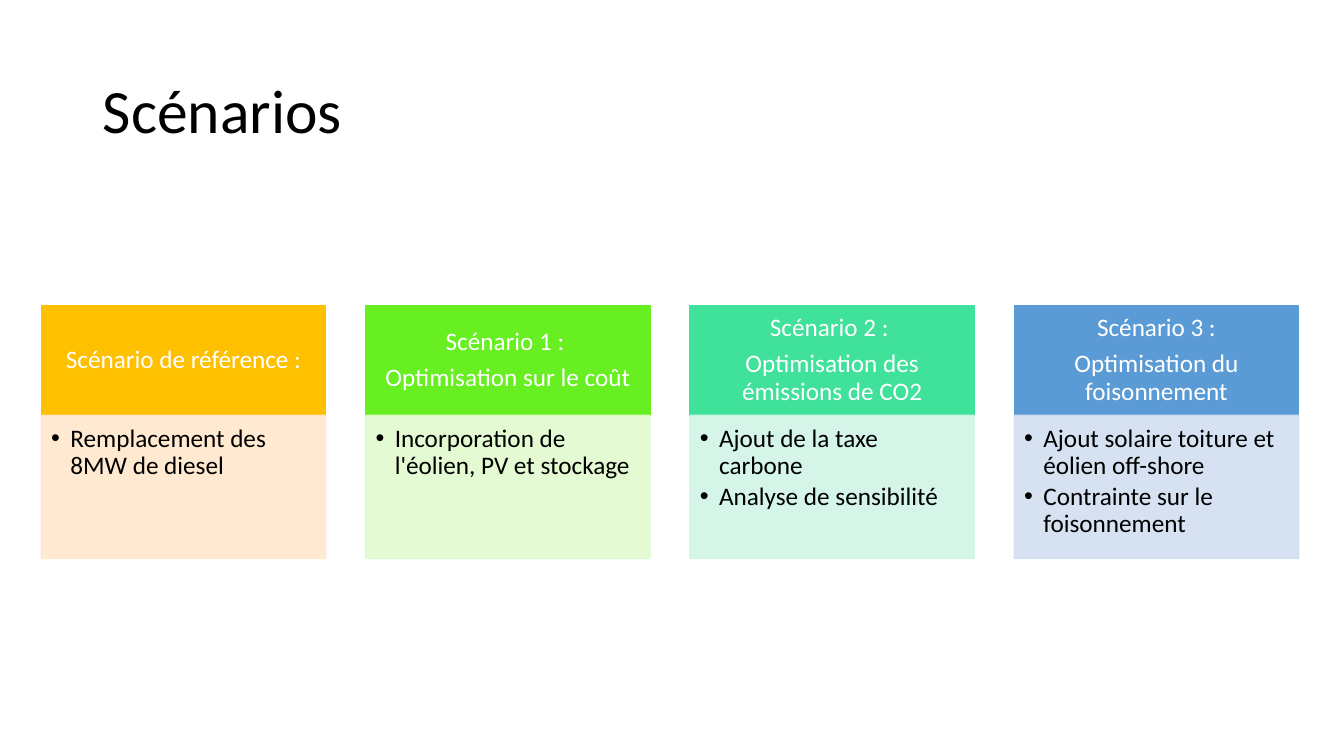
from lxml import etree
from pptx import Presentation
from pptx.dml.color import RGBColor
from pptx.enum.shapes import MSO_SHAPE
from pptx.enum.text import MSO_ANCHOR, PP_ALIGN
from pptx.oxml.ns import qn
from pptx.util import Inches, Pt

RECTANGLE = MSO_SHAPE.RECTANGLE
TOP, MIDDLE = MSO_ANCHOR.TOP, MSO_ANCHOR.MIDDLE
LEFT, CENTER = PP_ALIGN.LEFT, PP_ALIGN.CENTER

SLIDE_WIDTH, SLIDE_HEIGHT = 13.33, 7.5
FIRST_LEFT, LAST_LEFT, CARD_WIDTH = 0.41, 10.06, 2.82
ROWS = {"header": (3.03, 1.09), "body": (4.12, 1.42)}

SCENARIOS = [
    ("FFC000", "FFE8CC", ["Scénario de référence :"],
     ["Remplacement des 8MW de diesel"]),
    ("67EF21", "E1FACE", ["Scénario 1 : ", "Optimisation sur le coût"],
     ["Incorporation de l'éolien, PV et stockage"]),
    ("3FE19B", "D0F5E5", ["Scénario 2 : ", "Optimisation des émissions de CO2"],
     ["Ajout de la taxe carbone", "Analyse de sensibilité"]),
    ("5B9BD5", "D2DFF0", ["Scénario 3 :", "Optimisation du foisonnement"],
     ["Ajout solaire toiture et éolien off-shore", "Contrainte sur le foisonnement"]),
]


def color(hex_string):
    return RGBColor.from_string(hex_string)


def set_values(target, values):
    for name, value in values.items():
        setattr(target, name, value)


class ScenarioSlide:
    font_name = "Calibri"
    text_size = 18
    title_size = 44

    def __init__(self, presentation):
        self.slide = presentation.slides.add_slide(presentation.slide_layouts[5])
        self.pitch = (LAST_LEFT - FIRST_LEFT) / (len(SCENARIOS) - 1)

    def place(self, column, row):
        top, height = ROWS[row]
        lengths = (FIRST_LEFT + column * self.pitch, top, CARD_WIDTH, height)
        return [Inches(length) for length in lengths]

    def fill_text(self, shape, lines, size, text_color, anchor, paragraph_format, margins):
        frame = shape.text_frame
        set_values(frame, {"word_wrap": True, "vertical_anchor": anchor})
        set_values(frame, {name: Inches(margin) for name, margin in margins.items()})
        frame.text = "\n".join(lines)
        for paragraph in frame.paragraphs:
            set_values(paragraph, {"line_spacing": 0.9, **paragraph_format})
            font = paragraph.runs[0].font
            set_values(font, {"name": self.font_name, "size": Pt(size)})
            font.color.rgb = color(text_color)
        return frame.paragraphs

    def title(self, text):
        shape = self.slide.shapes.title
        set_values(shape, {
            "left": Inches(0.92), "top": Inches(0.4),
            "width": Inches(11.5), "height": Inches(1.45),
        })
        self.fill_text(shape, [text], self.title_size, "000000", MIDDLE, {"alignment": LEFT}, {})

    def box(self, column, row, fill_color):
        shape = self.slide.shapes.add_shape(RECTANGLE, *self.place(column, row))
        shape.shadow.inherit = False
        shape.fill.solid()
        shape.fill.fore_color.rgb = color(fill_color)
        shape.line.color.rgb = color(fill_color)
        shape.line.width = Pt(1)
        return shape

    def header(self, column, fill_color, lines):
        self.fill_text(
            self.box(column, "header", fill_color), lines, self.text_size, "FFFFFF", MIDDLE,
            {"alignment": CENTER, "space_after": Pt(0.35 * self.text_size)},
            {"margin_left": 0.14, "margin_top": 0.08, "margin_right": 0.14, "margin_bottom": 0.08},
        )

    def body(self, column, fill_color, lines):
        shape = self.box(column, "body", fill_color)
        for fill in shape._element.spPr.iter(qn("a:srgbClr")):
            etree.SubElement(fill, qn("a:alpha"), val="90000")
        paragraphs = self.fill_text(
            shape, lines, self.text_size, "000000", TOP,
            {"alignment": LEFT, "level": 1, "space_after": Pt(0.15 * self.text_size)},
            {"margin_left": 0.1, "margin_top": 0.1, "margin_right": 0.14, "margin_bottom": 0.16},
        )
        for paragraph in paragraphs:
            self.bullet(paragraph)

    def bullet(self, paragraph):
        indent = Inches(0.19)
        properties = paragraph._p.get_or_add_pPr()
        properties.set("marL", str(indent))
        properties.set("indent", str(-indent))
        etree.SubElement(properties, qn("a:buFont"), typeface="Arial")
        etree.SubElement(properties, qn("a:buChar"), char="•")


def main():
    presentation = Presentation()
    set_values(presentation, {
        "slide_width": Inches(SLIDE_WIDTH), "slide_height": Inches(SLIDE_HEIGHT),
    })
    scenario_slide = ScenarioSlide(presentation)
    scenario_slide.title("Scénarios")
    for column, (header_color, body_color, heading, points) in enumerate(SCENARIOS):
        scenario_slide.header(column, header_color, heading)
        scenario_slide.body(column, body_color, points)
    presentation.save("out.pptx")


if __name__ == "__main__":
    main()
